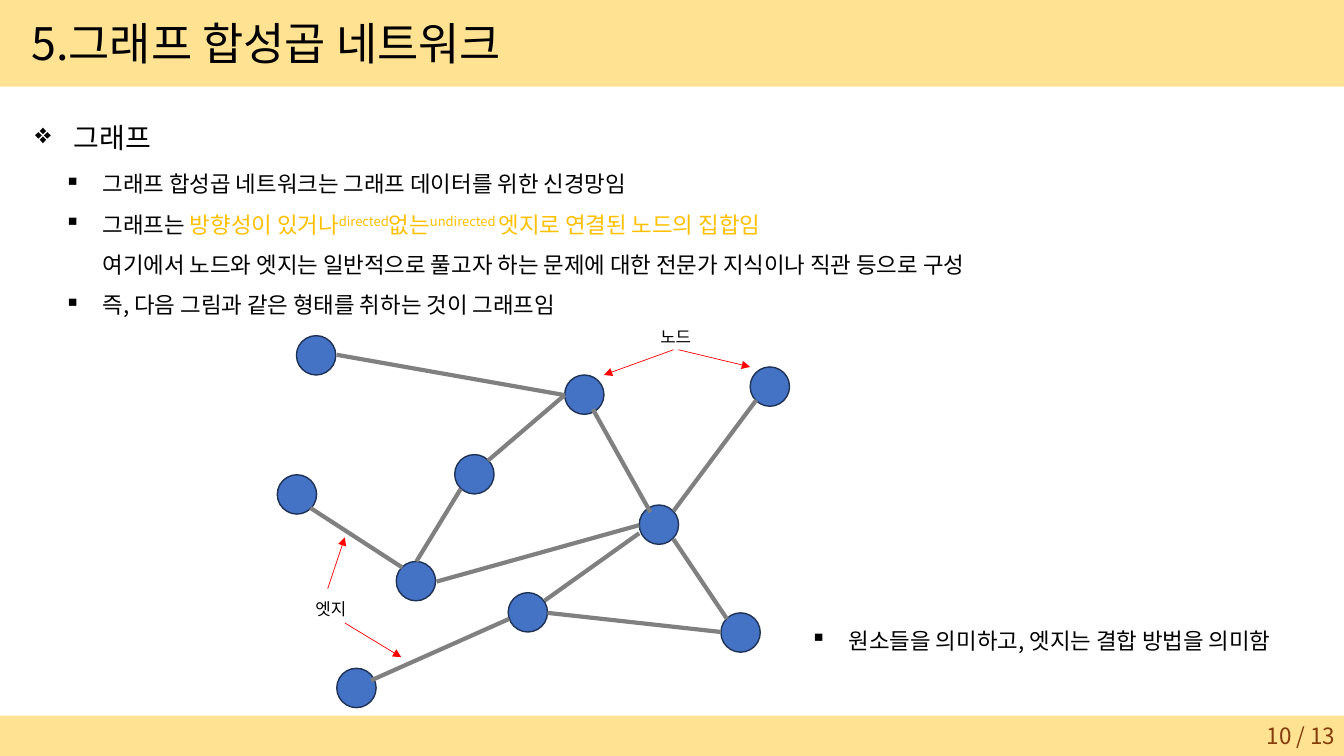
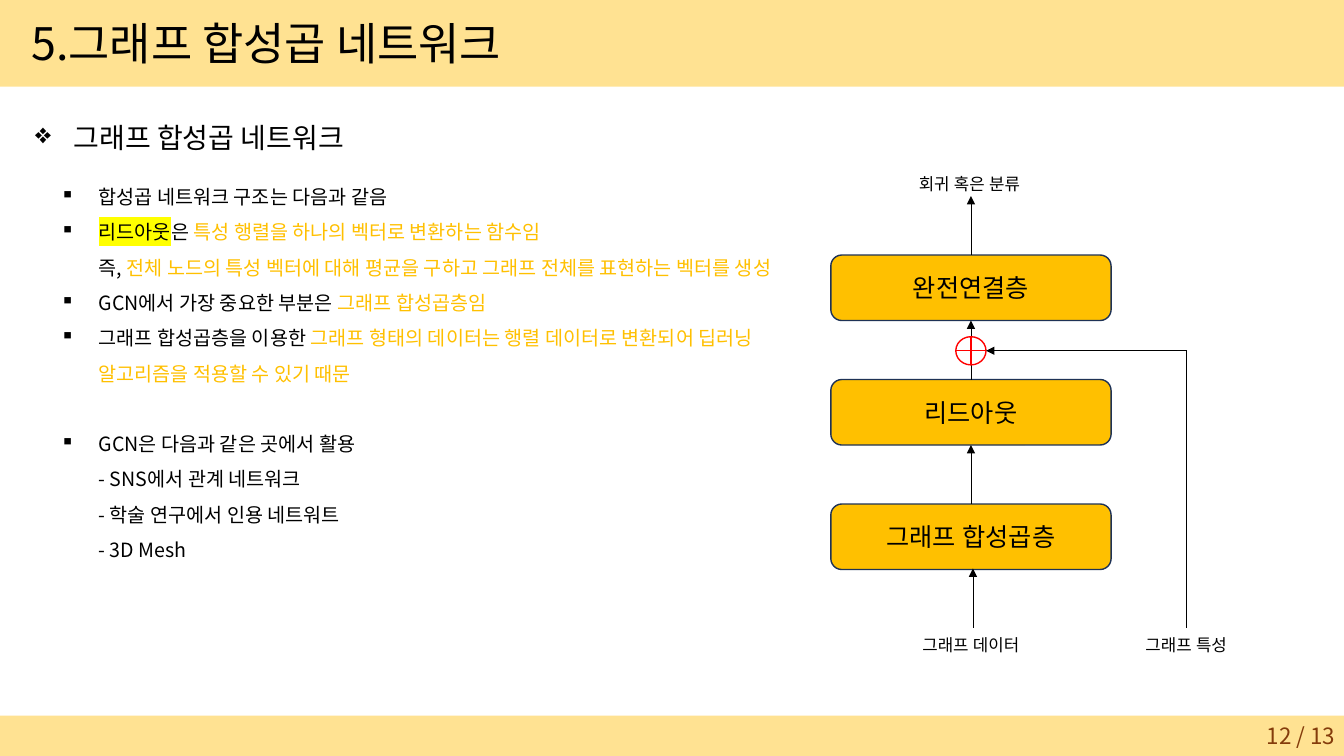
from copy import deepcopy
from dataclasses import dataclass
from typing import NamedTuple, Sequence

from lxml.etree import SubElement
from pptx import Presentation
from pptx.dml.color import RGBColor
from pptx.enum.shapes import MSO_CONNECTOR, MSO_SHAPE as SHAPE
from pptx.enum.text import MSO_ANCHOR as ANCHOR, MSO_AUTO_SIZE as FIT, PP_ALIGN as ALIGN
from pptx.oxml.ns import qn
from pptx.util import Inches, Pt

# Shared look
WIDTH, HEIGHT = 13.33, 7.5
BODY_FONT, LABEL_FONT = "Noto Sans CJK KR", "Lato"
BLACK, WHITE, RED, GRAY = "000000", "FFFFFF", "FF0000", "808080"
BAND, AMBER, BLUE, NAVY, BROWN = "FFE292", "FFC000", "4472C4", "1E3256", "843C0B"
YELLOW = "FFFF00"
TITLE = "5.그래프 합성곱 네트워크"


class Box(NamedTuple):
    left: float
    top: float
    width: float
    height: float


class Line(NamedTuple):
    x1: float
    y1: float
    x2: float
    y2: float


@dataclass(frozen=True)
class Run:
    text: str
    color: str = BLACK
    raised: bool = False
    highlight: str = ""


@dataclass(frozen=True)
class Label:
    text: str
    box: Box
    align: ALIGN = ALIGN.LEFT


@dataclass(frozen=True)
class Bullet:
    runs: Sequence[Run]
    before: float = 0


def rgb(color: str) -> RGBColor:
    return RGBColor.from_string(color)


def emu(values: Sequence[float]) -> list:
    return [Inches(v) for v in values]


# Text
def add_run(p, run: Run, size: float, font: str) -> None:
    for i, piece in enumerate(run.text.split("\n")):
        if i:
            p.add_line_break()
            p._p[-1].append(deepcopy(r.font._element))
        r = p.add_run()
        r.text = piece
        r.font.size = Pt(size)
        r.font.color.rgb = rgb(run.color)
        props = r.font._element
        if run.raised:
            props.set("baseline", "30000")
        if run.highlight:
            mark = SubElement(props, qn("a:highlight"))
            SubElement(mark, qn("a:srgbClr"), val=run.highlight)
        r.font.name = font
        SubElement(props, qn("a:ea"), typeface=font)


def fit_to_text(tf) -> None:
    tf.word_wrap = False
    tf.auto_size = FIT.SHAPE_TO_FIT_TEXT


def add_label(slide, label: Label) -> None:
    tf = slide.shapes.add_textbox(*emu(label.box)).text_frame
    fit_to_text(tf)
    p = tf.paragraphs[0]
    p.alignment = label.align
    add_run(p, Run(label.text), 12, LABEL_FONT)


def add_bullets(slide, box: Box, bullets: Sequence[Bullet], size: float,
                mark: str = "▪") -> None:
    tf = slide.shapes.add_textbox(*emu(box)).text_frame
    fit_to_text(tf)
    for i, bullet in enumerate(bullets):
        p = tf.add_paragraph() if i else tf.paragraphs[0]
        props = p._p.get_or_add_pPr()
        props.set("marL", str(Inches(0.38)))
        props.set("indent", str(-Inches(0.38)))
        SubElement(props, qn("a:buChar"), char=mark)
        p.line_spacing = 1.5
        if bullet.before:
            p.space_before = Pt(bullet.before)
        for run in bullet.runs:
            add_run(p, run, size, BODY_FONT)


# Shapes and lines
def add_shape(slide, kind: SHAPE, box: Box, fill: str, outline: str = ""):
    sp = slide.shapes.add_shape(kind, *emu(box))
    sp.shadow.inherit = False
    sp.fill.solid()
    sp.fill.fore_color.rgb = rgb(fill)
    if outline:
        sp.line.color.rgb = rgb(outline)
        sp.line.width = Pt(1)
    else:
        sp.line.fill.background()
    return sp


def add_line(slide, line: Line, color: str, width: float, arrow: bool = False) -> None:
    cxn = slide.shapes.add_connector(MSO_CONNECTOR.STRAIGHT, *emu(line))
    cxn.line.color.rgb = rgb(color)
    cxn.line.width = Pt(width)
    if arrow:
        SubElement(cxn.line._get_or_add_ln(), qn("a:tailEnd"), type="triangle")
    SubElement(cxn.element.spPr, qn("a:effectLst"))


# Slide frame
def add_bands(slide) -> None:
    """Draw the bands and hand them to the layout."""
    for box in (Box(0, 0, WIDTH, 0.86), Box(0, 7.1, WIDTH, 0.4)):
        sp = add_shape(slide, SHAPE.RECTANGLE, box, BAND)
        slide.slide_layout.shapes.element.append(sp.element)


def start_slide(prs, heading: str, heading_width: float, page: int):
    slide = prs.slides.add_slide(prs.slide_layouts[5])
    title = slide.shapes.title
    title.left, title.top, title.width, title.height = emu(Box(0.21, 0.11, 5.11, 0.64))
    tf = title.text_frame
    fit_to_text(tf)
    tf.vertical_anchor = ANCHOR.TOP
    tf.paragraphs[0].alignment = ALIGN.LEFT
    add_run(tf.paragraphs[0], Run(TITLE), 32, BODY_FONT)

    add_bullets(slide, Box(0.25, 0.98, heading_width, 0.56),
                [Bullet([Run(heading)])], 20, "❖")

    tf = slide.shapes.add_textbox(*emu(Box(10.34, 7.1, 3, 0.4))).text_frame
    tf.word_wrap = True
    tf.vertical_anchor = ANCHOR.MIDDLE
    tf.paragraphs[0].alignment = ALIGN.RIGHT
    add_run(tf.paragraphs[0], Run(f"{page} / 13", BROWN), 16, BODY_FONT)
    return slide


# Graph slide
NODE_SIZE = 0.39
NODES = [(5.6, 3.72), (2.94, 3.33), (4.51, 4.51), (3.93, 5.57), (2.75, 4.71),
         (3.34, 6.63), (5.04, 5.88), (7.15, 6.08), (6.34, 5.01), (7.44, 3.64)]
EDGES = [
    Line(3.34, 3.52, 5.6, 3.92), Line(4.84, 4.57, 5.6, 3.92),
    Line(4.13, 5.57, 4.57, 4.85), Line(3.99, 5.63, 3.08, 5.04),
    Line(5.05, 6.14, 3.68, 6.75), Line(6.34, 5.29, 5.4, 5.96),
    Line(6.34, 5.21, 4.33, 5.77), Line(6.45, 5.08, 5.88, 4.06),
    Line(6.68, 5.07, 7.5, 3.97), Line(7.15, 6.27, 5.43, 6.08),
    Line(7.21, 6.14, 6.68, 5.35),
]
POINTERS = [Line(3.25, 5.84, 3.42, 5.33), Line(3.42, 6.18, 3.98, 6.52),
            Line(6.68, 3.47, 5.99, 3.72), Line(6.73, 3.47, 7.44, 3.64)]
GRAPH_LABELS = [Label("엣지", Box(3.03, 5.89, 0.52, 0.3)),
                Label("노드", Box(6.45, 3.19, 0.52, 0.3))]
GRAPH_BULLETS = [
    Bullet([Run("그래프 합성곱 네트워크는 그래프 데이터를 위한 신경망임")]),
    Bullet([
        Run("그래프는 "), Run("방향성이 있거나", AMBER), Run("directed", AMBER, True),
        Run("없는", AMBER), Run("undirected ", AMBER, True),
        Run("엣지로 연결된 노드의 집합임\n", AMBER),
        Run("여기에서 노드와 엣지는 일반적으로 풀고자 하는 문제에 대한 "
            "전문가 지식이나 직관 등으로 구성"),
    ]),
    Bullet([Run("즉, 다음 그림과 같은 형태를 취하는 것이 그래프임")]),
]


def build_graph_slide(prs) -> None:
    slide = start_slide(prs, "그래프", 1.38, 10)
    add_bands(slide)
    add_bullets(slide, Box(0.54, 1.51, 9.51, 1.68), GRAPH_BULLETS, 16)
    for left, top in NODES:
        add_shape(slide, SHAPE.OVAL, Box(left, top, NODE_SIZE, NODE_SIZE), BLUE, NAVY)
    for edge in EDGES:
        add_line(slide, edge, GRAY, 3)
    for pointer in POINTERS:
        add_line(slide, pointer, RED, 0.5, arrow=True)
    for label in GRAPH_LABELS:
        add_label(slide, label)
    add_bullets(slide, Box(7.94, 6.04, 4.93, 0.47),
                [Bullet([Run("원소들을 의미하고, 엣지는 결합 방법을 의미함")])], 16)


# Network slide
LAYERS = ["완전연결층", "리드아웃", "그래프 합성곱층"]
LAYER = Box(8.24, 2.53, 2.78, 0.65)
LAYER_PITCH = 1.235
FLOW_X, FEATURE_X = 9.63, 11.77
JOIN = Box(9.48, 3.34, 0.3, 0.28)
JOIN_Y = JOIN.top + JOIN.height / 2
FLOW_LABELS = [
    Label("그래프 데이터", Box(9.05, 6.25, 1.2, 0.27)),
    Label("그래프 특성", Box(11.24, 6.25, 1.05, 0.27), ALIGN.CENTER),
    Label("회귀 혹은 분류", Box(8.97, 1.67, 1.29, 0.27), ALIGN.CENTER),
]
NETWORK_BULLETS = [
    Bullet([Run("합성곱 네트워크 구조는 다음과 같음")]),
    Bullet([
        Run("리드아웃", highlight=YELLOW), Run("은 "),
        Run("특성 행렬을 하나의 벡터로 변환하는 함수임\n", AMBER), Run("즉, "),
        Run("전체 노드의 특성 벡터에 대해 평균을 구하고 "
            "그래프 전체를 표현하는 벡터를 생성", AMBER),
    ]),
    Bullet([Run("GCN에서 가장 중요한 부분은 "), Run("그래프 합성곱층임", AMBER)]),
    Bullet([
        Run("그래프 합성곱층을 이용한 "),
        Run("그래프 형태의 데이터는 행렬 데이터로 변환되어 딥러닝\n"
            "알고리즘을 적용할 수 있기 때문", AMBER),
    ]),
    Bullet([Run("GCN은 다음과 같은 곳에서 활용\n- SNS에서 관계 네트워크\n"
                "- 학술 연구에서 인용 네트워트\n- 3D Mesh")], before=25.2),
]


def build_network_slide(prs) -> None:
    slide = start_slide(prs, "그래프 합성곱 네트워크", 3.38, 12)
    add_bullets(slide, Box(0.5, 1.67, 7.51, 3.95), NETWORK_BULLETS, 14)

    # Layers, each with an arrow leaving its top
    for i, name in enumerate(LAYERS):
        top = LAYER.top + i * LAYER_PITCH
        sp = add_shape(slide, SHAPE.ROUNDED_RECTANGLE, LAYER._replace(top=top), AMBER, NAVY)
        tf = sp.text_frame
        tf.vertical_anchor = ANCHOR.MIDDLE
        tf.paragraphs[0].alignment = ALIGN.CENTER
        add_run(tf.paragraphs[0], Run(name), 18, LABEL_FONT)
        add_line(slide, Line(FLOW_X, top, FLOW_X, top - 0.585), BLACK, 0.5, arrow=True)
    add_line(slide, Line(9.65, 6.23, 9.65, 5.64), BLACK, 0.5, arrow=True)

    # Join of the read-out and the graph features
    right = JOIN.left + JOIN.width
    add_shape(slide, SHAPE.OVAL, JOIN, WHITE, RED)
    add_line(slide, Line(JOIN.left, JOIN_Y, right, JOIN_Y), RED, 1)
    add_line(slide, Line(FLOW_X, JOIN.top, FLOW_X, JOIN.top + JOIN.height), RED, 1)
    add_line(slide, Line(FEATURE_X, JOIN_Y, right, JOIN_Y), BLACK, 0.5, arrow=True)
    add_line(slide, Line(FEATURE_X, JOIN_Y, FEATURE_X, 6.23), BLACK, 0.5)
    for label in FLOW_LABELS:
        add_label(slide, label)


def main() -> None:
    prs = Presentation()
    prs.slide_width, prs.slide_height = emu((WIDTH, HEIGHT))
    build_graph_slide(prs)
    build_network_slide(prs)
    prs.save("out.pptx")


if __name__ == "__main__":
    main()
